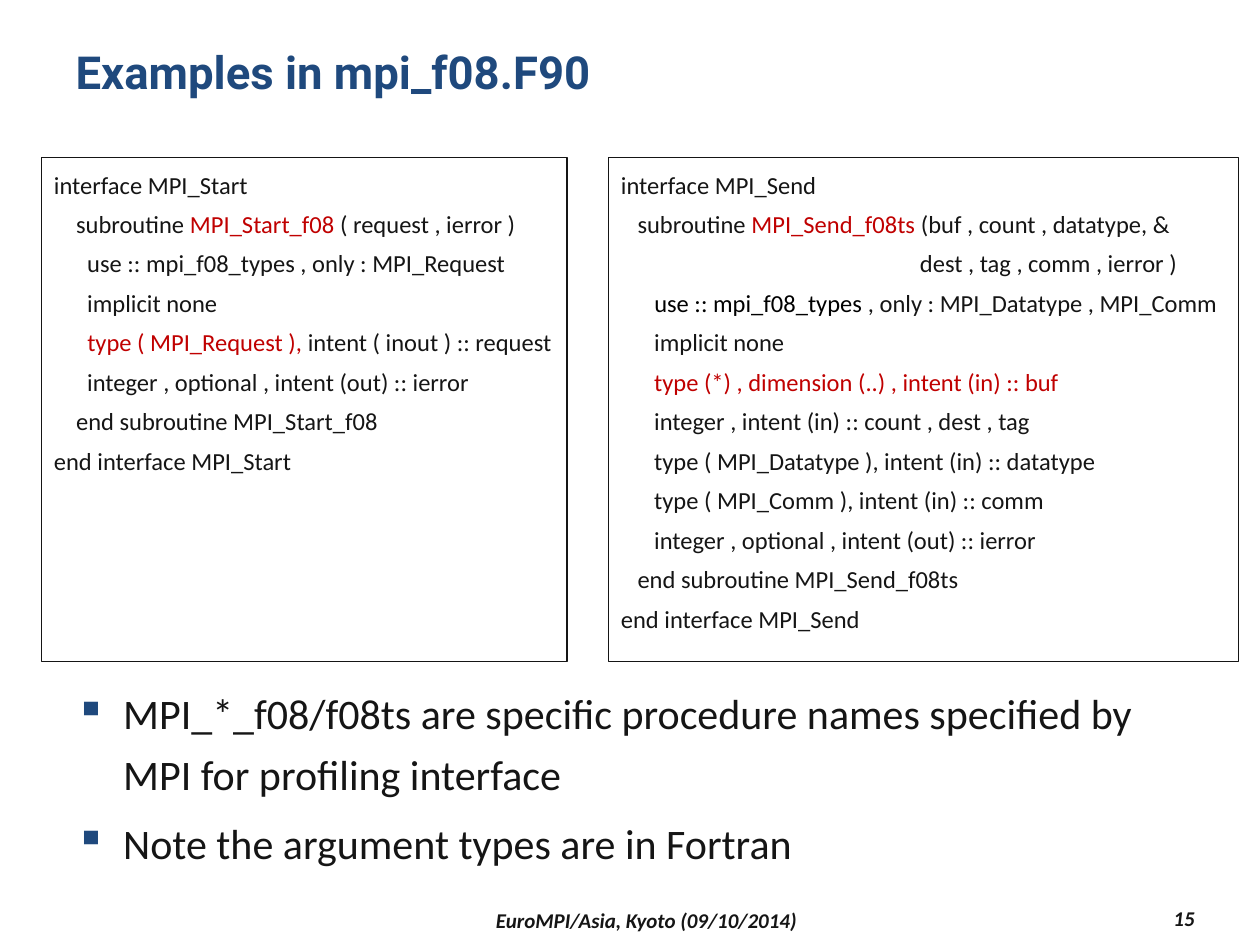
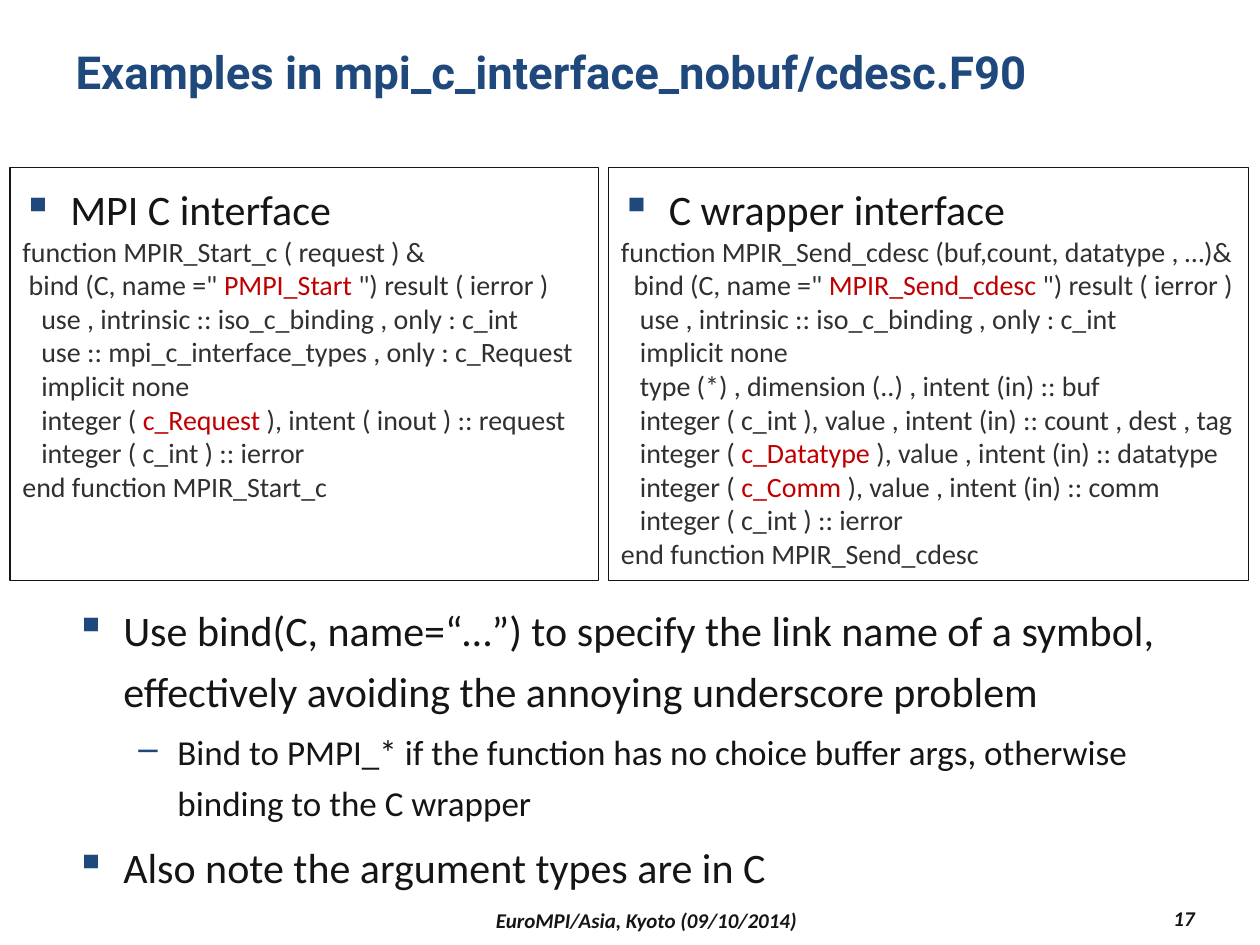
from typing import NamedTuple

from lxml import etree
from pptx import Presentation
from pptx.dml.color import RGBColor
from pptx.enum.shapes import MSO_SHAPE
from pptx.enum.text import MSO_ANCHOR, MSO_AUTO_SIZE, PP_ALIGN
from pptx.oxml.ns import qn
from pptx.util import Inches, Pt

RECTANGLE = MSO_SHAPE.RECTANGLE
TOP, MIDDLE = MSO_ANCHOR.TOP, MSO_ANCHOR.MIDDLE
LEFT, CENTER, RIGHT = PP_ALIGN.LEFT, PP_ALIGN.CENTER, PP_ALIGN.RIGHT
NO_AUTOFIT = MSO_AUTO_SIZE.NONE

COLORS = {
    "title": "1F497D",
    "text": "151515",
    "code": "303030",
    "accent": "C00000",
    "black": "000000",
}
TITLE_FONT, BODY_FONT = "Roboto", "Calibri"
LINE_SPACING = 1.2
EVENT = "EuroMPI/Asia, Kyoto (09/10/2014)"


class Area(NamedTuple):
    left: float
    top: float
    width: float
    height: float

    def lengths(self) -> list:
        return [Inches(value) for value in self]


class Part(NamedTuple):
    """A piece of a code line with its own colour."""
    text: str
    color: str = "accent"


class CodeStyle(NamedTuple):
    size: int
    color: str
    line_spacing: float
    space_before: float


class Panel(NamedTuple):
    area: Area
    lines: list
    heading: str = ""


class Bullet(NamedTuple):
    text: str
    level: int = 0


class BulletStyle(NamedTuple):
    symbol: str
    size: int
    margin: float
    hanging: float
    space_before: float


class Page(NamedTuple):
    title: str
    number: int
    code_style: CodeStyle
    panels: list
    bullets_area: Area
    bullets: list


BULLET_STYLES = [
    BulletStyle("▪", 24, 0.38, 0.38, 4.8),
    BulletStyle("–", 20, 0.81, 0.31, 4),
]
SPACED_CODE = CodeStyle(14, "text", LINE_SPACING, 2.4)
TIGHT_CODE = CodeStyle(16, "code", 1.0, 0)

TITLE_AREA = Area(0.5, 0.3, 9, 0.87)
EVENT_AREA = Area(2.17, 7.17, 5.92, 0.27)
NUMBER_AREA = Area(8.5, 7.15, 1.08, 0.27)

START_F08 = [
    ["interface MPI_Start"],
    ["    subroutine ", Part("MPI_Start_f08"), " ( request , ierror )"],
    ["      use :: mpi_f08_types , only : MPI_Request"],
    ["      implicit none"],
    ["      ", Part("type ( MPI_Request ), "), "intent ( inout ) :: request"],
    ["      integer , optional , intent (out) :: ierror"],
    ["    end subroutine MPI_Start_f08"],
    ["end interface MPI_Start"],
]
SEND_F08 = [
    ["interface MPI_Send"],
    ["   subroutine ", Part("MPI_Send_f08ts"), " (buf , count , datatype, &"],
    ["                                                      dest , tag , comm , ierror )"],
    ["      ", Part("use :: mpi_f08_types ", "black"), ", only : MPI_Datatype , MPI_Comm"],
    ["      implicit none"],
    [Part("      type (*) , dimension (..) , intent (in) :: buf")],
    ["      integer , intent (in) :: count , dest , tag"],
    ["      type ( MPI_Datatype ), intent (in) :: datatype"],
    ["      type ( MPI_Comm ), intent (in) :: comm"],
    ["      integer , optional , intent (out) :: ierror"],
    ["   end subroutine MPI_Send_f08ts"],
    ["end interface MPI_Send"],
]
START_C = [
    ["function MPIR_Start_c ( request ) &"],
    [' bind (C, name =" ', Part("PMPI_Start"), ' ") result ( ierror )'],
    ["   use , intrinsic :: iso_c_binding , only : c_int"],
    ["   use :: mpi_c_interface_types , only : c_Request"],
    ["   implicit none"],
    ["   integer ( ", Part("c_Request"), " ), intent ( inout ) :: request"],
    ["   integer ( c_int ) :: ierror"],
    ["end function MPIR_Start_c"],
]
SEND_CDESC = [
    ["function MPIR_Send_cdesc (buf,count, datatype , …)&"],
    ['  bind (C, name =" ', Part("MPIR_Send_cdesc"), ' ") result ( ierror )'],
    ["   use , intrinsic :: iso_c_binding , only : c_int"],
    ["   implicit none"],
    ["   type (*) , dimension (..) , intent (in) :: buf"],
    ["   integer ( c_int ), value , intent (in) :: count , dest , tag"],
    ["   integer ( ", Part("c_Datatype"), " ), value , intent (in) :: datatype"],
    ["   integer ( ", Part("c_Comm"), " ), value , intent (in) :: comm"],
    ["   integer ( c_int ) :: ierror"],
    ["end function MPIR_Send_cdesc"],
]

PAGES = [
    Page(
        "Examples in mpi_f08.F90", 15, SPACED_CODE,
        [Panel(Area(0.33, 1.25, 4.17, 4), START_F08),
         Panel(Area(4.83, 1.25, 5, 4), SEND_F08)],
        Area(0.5, 5.33, 9, 1.42),
        [Bullet("MPI_*_f08/f08ts are specific procedure names specified by "
                "MPI for profiling interface"),
         Bullet("Note the argument types are in Fortran")],
    ),
    Page(
        "Examples in mpi_c_interface_nobuf/cdesc.F90", 17, TIGHT_CODE,
        [Panel(Area(0.08, 1.33, 4.67, 3.28), START_C, "MPI C interface"),
         Panel(Area(4.83, 1.33, 5.08, 3.28), SEND_CDESC, "C wrapper interface")],
        Area(0.5, 4.67, 9.25, 2.17),
        [Bullet("Use bind(C, name=“…”) to specify the link name of a symbol, "
                "effectively avoiding the annoying underscore problem"),
         Bullet("Bind to PMPI_* if the function has no choice buffer args, "
                "otherwise binding to the C wrapper", 1),
         Bullet("Also note the argument types are in C")],
    ),
]


def rgb(color: str) -> RGBColor:
    return RGBColor.from_string(COLORS[color])


def add_run(paragraph, text: str, size: float, color: str = "text",
            font: str = BODY_FONT, bold: bool = False, italic: bool = False) -> None:
    run = paragraph.add_run()
    run.text = text
    run.font.name = font
    run.font.size = Pt(size)
    run.font.bold = bold
    run.font.italic = italic
    run.font.color.rgb = rgb(color)


def prepare_frame(shape, anchor=TOP):
    frame = shape.text_frame
    frame.word_wrap = True
    frame.auto_size = NO_AUTOFIT
    frame.vertical_anchor = anchor
    return frame


def next_paragraph(frame, line_spacing: float, space_before: float):
    """Return the empty first paragraph, or a new one set off from the last."""
    first = frame.paragraphs[0]
    is_new = bool(first.runs)
    paragraph = frame.add_paragraph() if is_new else first
    paragraph.alignment = LEFT
    paragraph.line_spacing = line_spacing
    paragraph.space_before = Pt(space_before if is_new else 0)
    return paragraph


def add_bullet(frame, bullet: Bullet) -> None:
    style = BULLET_STYLES[bullet.level]
    paragraph = next_paragraph(frame, LINE_SPACING, style.space_before)
    paragraph.level = bullet.level
    properties = paragraph._p.get_or_add_pPr()
    properties.set("marL", str(Inches(style.margin)))
    properties.set("indent", str(-Inches(style.hanging)))
    bullet_color = etree.SubElement(properties, qn("a:buClr"))
    etree.SubElement(bullet_color, qn("a:srgbClr"), val=COLORS["title"])
    etree.SubElement(properties, qn("a:buChar"), char=style.symbol)
    add_run(paragraph, bullet.text, style.size)


def add_title(slide, text: str) -> None:
    title = slide.shapes.title
    title.left, title.top, title.width, title.height = TITLE_AREA.lengths()
    paragraph = prepare_frame(title).paragraphs[0]
    paragraph.alignment = LEFT
    add_run(paragraph, text, 26, "title", TITLE_FONT, bold=True)


def add_panel(slide, panel: Panel, style: CodeStyle) -> None:
    box = slide.shapes.add_shape(RECTANGLE, *panel.area.lengths())
    box.shadow.inherit = False
    box.fill.background()
    box.line.color.rgb = rgb("text")
    box.line.width = Pt(0.75)
    frame = prepare_frame(box)
    if panel.heading:
        add_bullet(frame, Bullet(panel.heading))
    for line in panel.lines:
        paragraph = next_paragraph(frame, style.line_spacing, style.space_before)
        for piece in line:
            part = piece if isinstance(piece, Part) else Part(piece, style.color)
            add_run(paragraph, part.text, style.size, part.color)


def add_bullets(slide, area: Area, bullets: list) -> None:
    frame = prepare_frame(slide.shapes.add_textbox(*area.lengths()))
    for bullet in bullets:
        add_bullet(frame, bullet)


def add_footer(slide, area: Area, text: str, alignment) -> None:
    frame = prepare_frame(slide.shapes.add_textbox(*area.lengths()), MIDDLE)
    paragraph = frame.paragraphs[0]
    paragraph.alignment = alignment
    add_run(paragraph, text, 12, bold=True, italic=True)


def main() -> None:
    deck = Presentation()
    deck.slide_width, deck.slide_height = Inches(10), Inches(7.5)
    title_only = deck.slide_layouts.get_by_name("Title Only")
    for page in PAGES:
        slide = deck.slides.add_slide(title_only)
        add_title(slide, page.title)
        for panel in page.panels:
            add_panel(slide, panel, page.code_style)
        add_bullets(slide, page.bullets_area, page.bullets)
        add_footer(slide, EVENT_AREA, EVENT, CENTER)
        add_footer(slide, NUMBER_AREA, str(page.number), RIGHT)
    deck.save("out.pptx")


if __name__ == "__main__":
    main()
